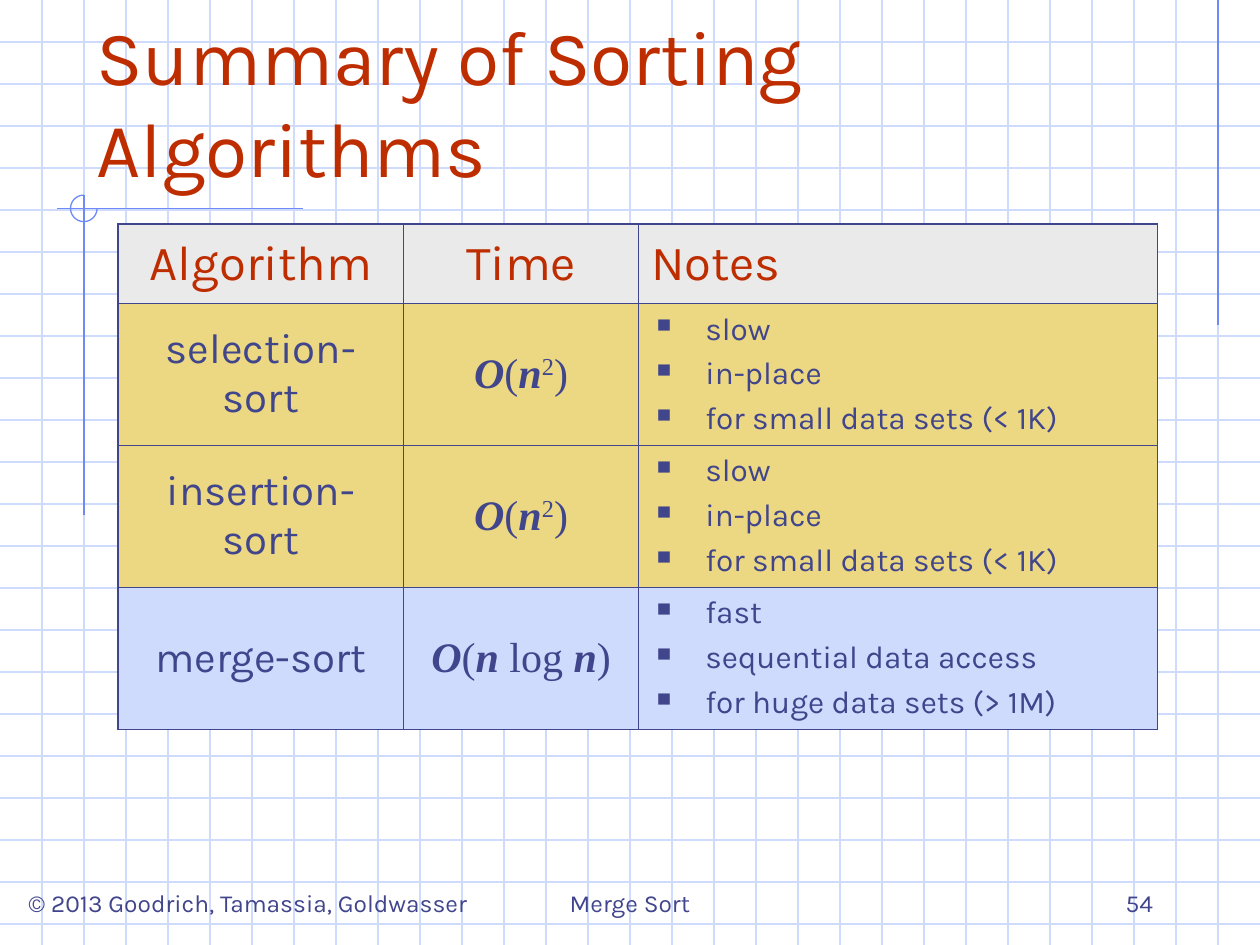
import pptx
import pptx.util
import pptx.dml.color
import pptx.enum.shapes
import pptx.enum.text
import pptx.oxml
from lxml import etree
from pptx.oxml.ns import qn

Pt = pptx.util.Pt
ALIGN = pptx.enum.text.PP_ALIGN
ANCHOR = pptx.enum.text.MSO_ANCHOR

WIDTH, HEIGHT = 720, 540
GRID_STEP = 24
GRID, ACCENT = "CFDBFD", "6F89F7"
INK, RED = "40458C", "BE2D00"
GRAY, YELLOW = "EAEAEA", "ECD882"
SANS, SERIF = "Karla", "Times New Roman"
THICK, THIN = 1.08, 0.45

QUADRATIC = [("O", "variable"), ("(", ""), ("n", "variable"), ("2", "power"), (")", "")]
LINEARITHMIC = [("O", "variable"), ("(", ""), ("n", "variable"), (" log ", ""),
                ("n", "variable"), (")", "")]
SMALL_NOTES = ["slow", "in-place", "for small data sets (< 1K)"]
HUGE_NOTES = ["fast", "sequential data access", "for huge data sets (> 1M)"]
HEADINGS = [("Algorithm", ALIGN.CENTER), ("Time", ALIGN.CENTER), ("Notes", ALIGN.LEFT)]
ALGORITHMS = [
    ("selection-sort", QUADRATIC, SMALL_NOTES, YELLOW),
    ("insertion-sort", QUADRATIC, SMALL_NOTES, YELLOW),
    ("merge-sort", LINEARITHMIC, HUGE_NOTES, GRID),
]


def color(value):
    return pptx.dml.color.RGBColor.from_string(value)


def style_paragraph(paragraph, size, ink=INK, align=ALIGN.LEFT, name=SANS):
    paragraph.alignment = align
    paragraph.font.size = Pt(size)
    paragraph.font.name = name
    paragraph.font.color.rgb = color(ink)


def add_line(slide, x1, y1, x2, y2, ink):
    line = slide.shapes.add_connector(
        pptx.enum.shapes.MSO_CONNECTOR.STRAIGHT, Pt(x1), Pt(y1), Pt(x2), Pt(y2))
    line.line.color.rgb = color(ink)
    line.line.width = Pt(0.75)
    etree.SubElement(line._element.spPr, qn("a:effectLst"))


def add_grid(slide):
    for y in range(GRID_STEP, HEIGHT, GRID_STEP):
        add_line(slide, 0, y, WIDTH, y, GRID)
    for x in range(GRID_STEP, WIDTH, GRID_STEP):
        add_line(slide, x, 0, x, HEIGHT, GRID)


def add_accents(slide):
    add_line(slide, 696, 0, 696, 186, ACCENT)
    add_line(slide, 32.5, 119.2, 173, 119.2, ACCENT)
    add_line(slide, 48, 111.5, 48, 294.5, ACCENT)
    arc = slide.shapes.add_shape(
        pptx.enum.shapes.MSO_SHAPE.ARC, Pt(40.3), Pt(111.5), Pt(15.2), Pt(15.2))
    arc.adjustments[0] = 0
    arc.adjustments[1] = 162
    arc.shadow.inherit = False
    arc.fill.background()
    arc.line.color.rgb = color(ACCENT)
    arc.line.width = Pt(0.75)


def add_text(slide, text, left, top, width, height, size, ink, align, anchor, wrap=True):
    box = slide.shapes.add_textbox(Pt(left), Pt(top), Pt(width), Pt(height))
    frame = box.text_frame
    frame.word_wrap = wrap
    frame.vertical_anchor = anchor
    paragraph = frame.paragraphs[0]
    paragraph.text = text
    style_paragraph(paragraph, size, ink, align)


def style_cell(cell, row, column, fill):
    widths = {
        "lnL": THICK if column == 0 else THIN,
        "lnR": THICK if column == 2 else THIN,
        "lnT": THICK if row <= 1 else THIN,
        "lnB": THICK if row == 0 else THIN,
    }
    properties = cell._tc.get_or_add_tcPr()
    for side, width in widths.items():
        border = etree.SubElement(properties, qn("a:" + side), w=str(int(Pt(width))))
        solid = etree.SubElement(border, qn("a:solidFill"))
        etree.SubElement(solid, qn("a:srgbClr"), val=INK)
    cell.fill.solid()
    cell.fill.fore_color.rgb = color(fill)
    cell.vertical_anchor = ANCHOR.MIDDLE


def write_label(cell, text, size, ink, align):
    paragraph = cell.text_frame.paragraphs[0]
    paragraph.text = text
    style_paragraph(paragraph, size, ink, align)


def write_formula(cell, parts):
    paragraph = cell.text_frame.paragraphs[0]
    for text, role in parts:
        run = paragraph.add_run()
        run.text = text
        if role == "variable":
            run.font.bold = run.font.italic = True
        elif role == "power":
            run._r.get_or_add_rPr().set("baseline", "30000")
    style_paragraph(paragraph, 24, align=ALIGN.CENTER, name=SERIF)


def add_bullet(paragraph):
    properties = paragraph._p.get_or_add_pPr()
    properties.set("marL", str(int(Pt(31))))
    properties.set("indent", str(int(Pt(-31))))
    bullet_color = etree.SubElement(properties, qn("a:buClr"))
    etree.SubElement(bullet_color, qn("a:srgbClr"), val=INK)
    etree.SubElement(properties, qn("a:buSzPct"), val="110000")
    etree.SubElement(properties, qn("a:buChar"), char="▪")


def write_notes(cell, notes):
    frame = cell.text_frame
    for index, note in enumerate(notes):
        paragraph = frame.add_paragraph() if index else frame.paragraphs[0]
        paragraph.text = note
        if index:
            paragraph.space_before = Pt(4.5)
        add_bullet(paragraph)
        style_paragraph(paragraph, 18)


def add_summary_table(slide):
    table = slide.shapes.add_table(
        4, 3, Pt(67.5), Pt(128), Pt(594), Pt(288.7)).table
    table.first_row = False
    table.horz_banding = False
    for column, width in zip(table.columns, (163.2, 134.2, 296.6)):
        column.width = Pt(width)
    for row, height in zip(table.rows, (45.4, 81.1, 81.1, 81.1)):
        row.height = Pt(height)
    for column, (heading, align) in enumerate(HEADINGS):
        cell = table.cell(0, column)
        style_cell(cell, 0, column, GRAY)
        write_label(cell, heading, 28, RED, align)
    for row, (name, formula, notes, fill) in enumerate(ALGORITHMS, 1):
        for column in range(3):
            style_cell(table.cell(row, column), row, column, fill)
        write_label(table.cell(row, 0), name, 24, INK, ALIGN.CENTER)
        write_formula(table.cell(row, 1), formula)
        write_notes(table.cell(row, 2), notes)


def main():
    presentation = pptx.Presentation()
    presentation.slide_width = Pt(WIDTH)
    presentation.slide_height = Pt(HEIGHT)
    slide = presentation.slides.add_slide(presentation.slide_layouts[6])
    add_grid(slide)
    add_accents(slide)
    add_text(slide, "© 2013 Goodrich, Tamassia, Goldwasser", 2, 504, 279.5, 24.5,
             14, INK, ALIGN.CENTER, ANCHOR.TOP, wrap=False)
    add_text(slide, "Merge Sort", 246, 492, 228, 36, 14, INK, ALIGN.CENTER, ANCHOR.BOTTOM)
    add_text(slide, "54", 516, 492, 150, 36, 14, INK, ALIGN.RIGHT, ANCHOR.BOTTOM)
    add_text(slide, "Summary of Sorting Algorithms", 48, 24, 636, 90,
             44, RED, ALIGN.LEFT, ANCHOR.BOTTOM)
    add_summary_table(slide)
    presentation.save("out.pptx")


if __name__ == "__main__":
    main()
